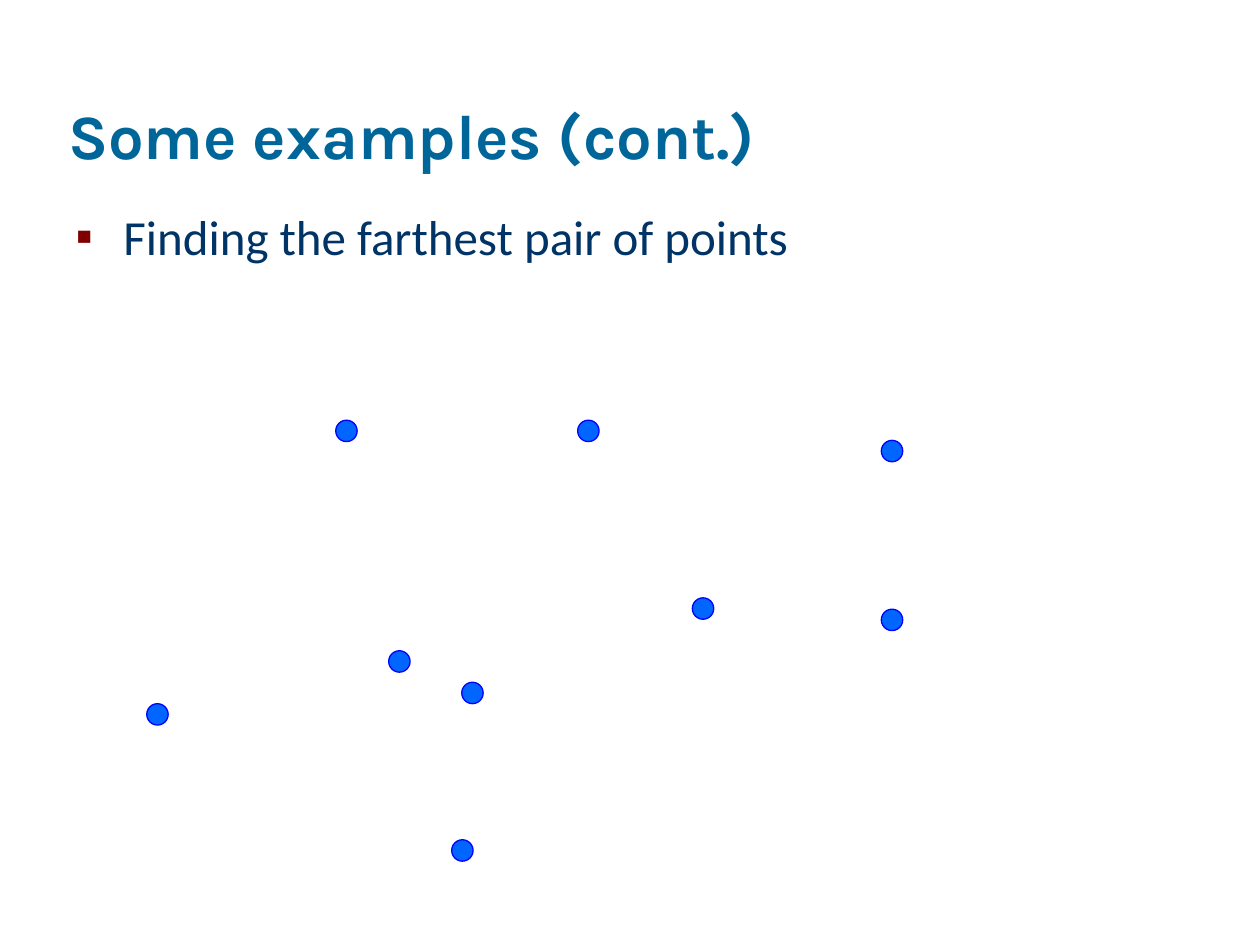
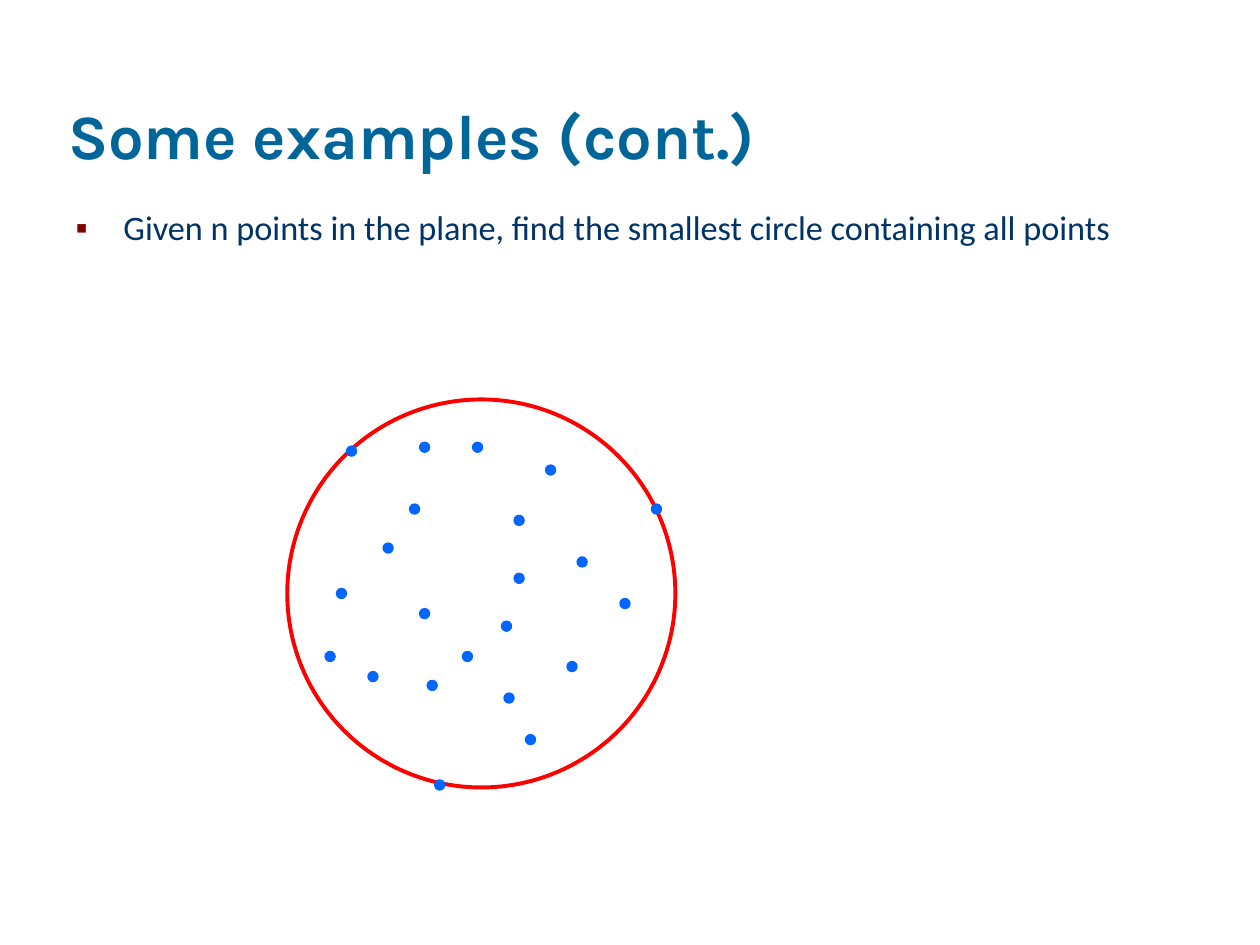
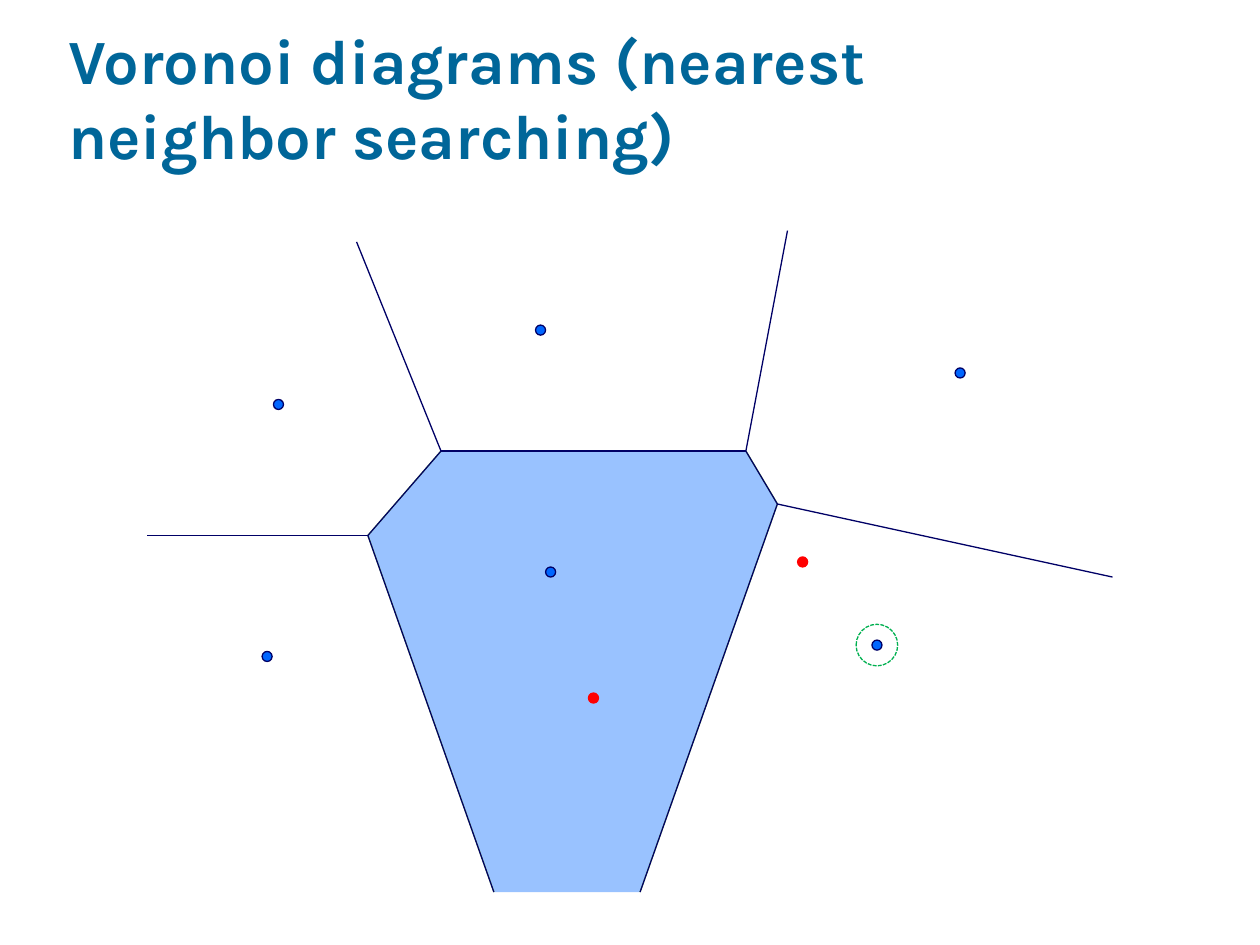
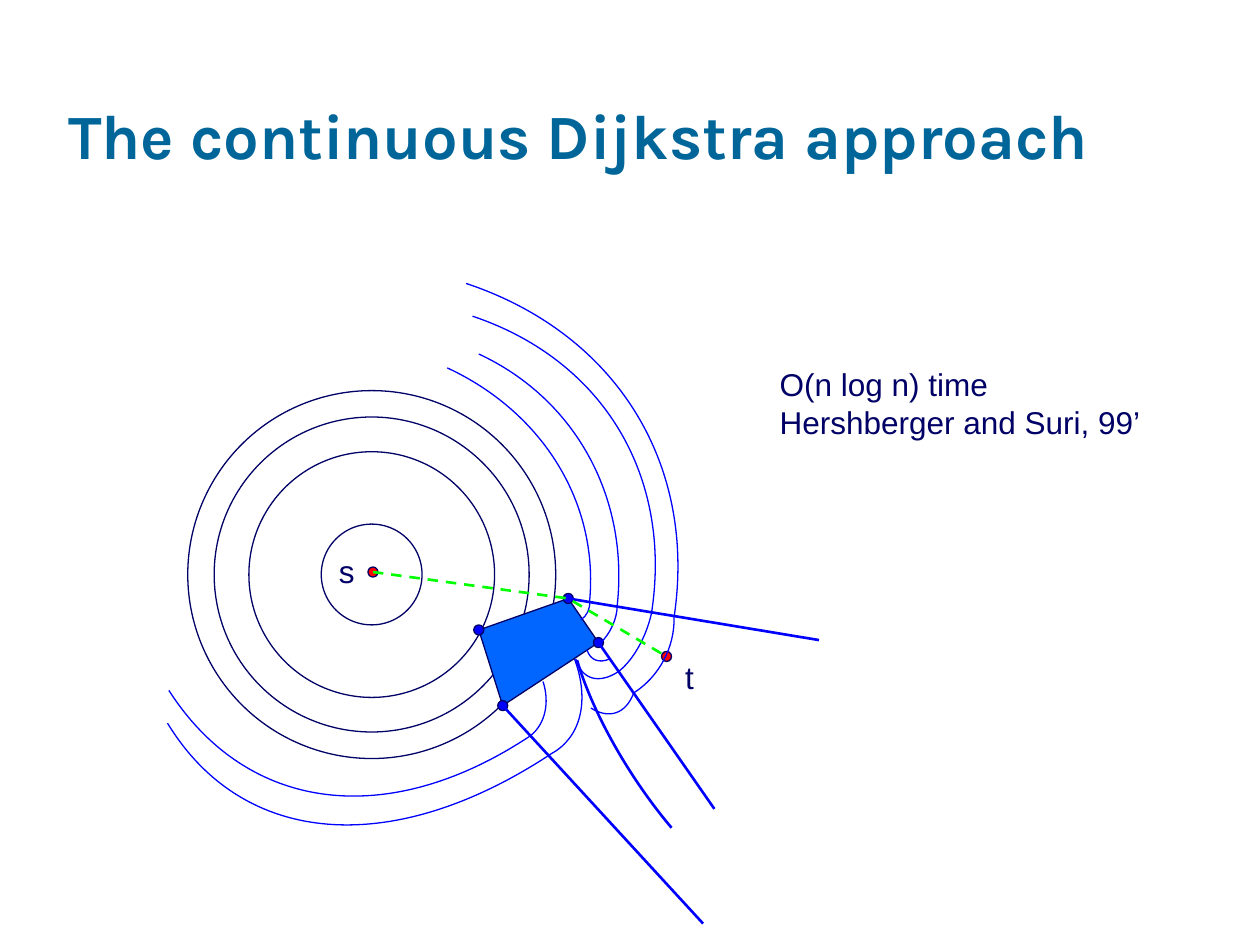
from lxml import etree
from pptx import Presentation
from pptx.dml.color import RGBColor
from pptx.enum.dml import MSO_LINE
from pptx.enum.shapes import MSO_CONNECTOR, MSO_SHAPE
from pptx.enum.text import MSO_ANCHOR, MSO_AUTO_SIZE, PP_ALIGN
from pptx.oxml.ns import qn
from pptx.util import Inches, Pt

OVAL = MSO_SHAPE.OVAL
STRAIGHT = MSO_CONNECTOR.STRAIGHT
DASH = MSO_LINE.DASH
SHORT_DASH = MSO_LINE.SQUARE_DOT
LEFT = PP_ALIGN.LEFT
TOP, BOTTOM = MSO_ANCHOR.TOP, MSO_ANCHOR.BOTTOM
NO_AUTOFIT = MSO_AUTO_SIZE.NONE

TITLE_BLUE, BODY_BLUE, BULLET_RED = "006699", "003366", "800000"
BLUE, PURE_BLUE, NAVY, PALE_BLUE = "0066FF", "0000FF", "000066", "99C2FF"
RED, WHITE, GREEN, LIME, LEAF = "FF0000", "FFFFFF", "00B050", "00FF00", "92D050"

TITLE_LAYOUT, BODY_LAYOUT = 5, 1
BIG_DOT, SMALL_DOT = 0.17, 0.08
INDENT = 0.38
ROUNDNESS = 0.61

FARTHEST_PAIR = {
    "title": "Some examples (cont.)",
    "body": "Finding the farthest pair of points",
    "body_size": 28,
    "points_by_row": {3.42: [2.75, 4.67], 3.58: [7.08], 4.83: [5.58], 4.92: [7.08],
                      5.25: [3.17], 5.5: [3.75], 5.67: [1.25], 6.75: [3.67]},
}

SMALLEST_CIRCLE = {
    "title": "Some examples (cont.)",
    "body": "Given n points in the plane, find the smallest circle containing all points",
    "body_size": 19.6,
    "center": (3.82, 4.71),
    "diameter": 3.08,
    "points_by_row": {3.55: [3.37, 3.79], 3.58: [2.79], 3.73: [4.37], 4.04: [3.29, 5.21],
                      4.13: [4.12], 4.35: [3.08], 4.46: [4.62], 4.59: [4.12],
                      4.71: [2.71], 4.79: [4.96], 4.87: [3.37], 4.97: [4.02],
                      5.21: [2.62, 3.71], 5.29: [4.54], 5.37: [2.96], 5.44: [3.43],
                      5.54: [4.04], 5.87: [4.21], 6.23: [3.49]},
}

CELL = [(3.92, 7.08), (2.92, 4.25), (3.5, 3.58), (5.92, 3.58), (6.17, 4), (5.08, 7.08)]
NEAREST_SITE = (6.96, 5.12)
VORONOI = {
    "title": "Voronoi diagrams (nearest neighbor searching)",
    "sites": [(7.62, 2.96), (2.21, 3.21), (2.12, 5.21), (4.29, 2.62), (4.37, 4.54), NEAREST_SITE],
    "queries": [(6.37, 4.46), (4.71, 5.54)],
    "edge_ends": [(1.17, 4.25), (2.83, 1.92), (6.25, 1.83), (8.83, 4.58)],
}

SOURCE, TARGET = (2.96, 4.54), (5.29, 5.21)
OBSTACLE = [(3.8, 5), (3.99, 5.6), (4.75, 5.1), (4.51, 4.75)]
DIJKSTRA = {
    "title": "The continuous Dijkstra approach",
    "wave_center": (2.95, 4.56),
    "diameters": [2.92, 2.5, 1.95, 0.8],
    "ray_ends": [(5.58, 7.33), (5.67, 6.42), (6.5, 5.08)],
    "waves": [
        [(3.55, 2.92), (4.8, 3.5), (4.68, 4.77), (4.69, 4.87), (4.61, 4.92)],
        [(3.8, 2.81), (5.05, 3.39), (4.9, 4.8), (4.9, 4.98), (4.76, 5.11)],
        [(4.84, 5.23), (4.7, 5.29), (4.66, 5.16)],
        [(3.75, 2.51), (5.45, 3.08), (5.17, 4.87), (5.1, 5.18), (4.91, 5.33), (4.65, 5.5), (4.57, 5.23)],
        [(3.7, 2.25), (5.65, 2.9), (5.35, 4.9), (5.36, 5.29), (5.03, 5.5), (4.93, 5.77), (4.69, 5.62)],
        [(1.34, 5.48), (2.36, 7.07), (4.21, 5.84), (4.4, 5.69), (4.31, 5.41)],
        [(1.33, 5.74), (2.31, 7.35), (4.38, 5.98), (4.76, 5.77), (4.56, 5.23)],
    ],
    "bisector": [(4.58, 5.24), (4.78, 5.92), (5.33, 6.57)],
    "labels": [
        ((2.59, 4.33, 0.32, 0.4), ["s"]),
        ((5.34, 5.17, 0.27, 0.4), ["t"]),
        ((6.09, 2.85, 3.06, 0.7), ["O(n log n) time", "Hershberger and Suri, 99’"]),
    ],
}


def color(hex_value):
    return RGBColor.from_string(hex_value)


def inches(values):
    return [Inches(value) for value in values]


def style_line(line, line_color, width, dash=None):
    line.color.rgb = color(line_color)
    line.width = Pt(width)
    if dash is not None:
        line.dash_style = dash


def style_shape(shape, fill, line_color, width=0.75, dash=None):
    shape.shadow.inherit = False
    if fill:
        shape.fill.solid()
        shape.fill.fore_color.rgb = color(fill)
    else:
        shape.fill.background()
    style_line(shape.line, line_color, width, dash)


def add_text(paragraph, text, font_name, size, text_color, bold=False):
    paragraph.alignment = LEFT
    run = paragraph.add_run()
    run.text = text
    run.font.name = font_name
    run.font.size = Pt(size)
    run.font.bold = bold
    run.font.color.rgb = color(text_color)


def prepare_frame(placeholder, box, anchor):
    placeholder.left, placeholder.top, placeholder.width, placeholder.height = inches(box)
    frame = placeholder.text_frame
    frame.auto_size = NO_AUTOFIT
    frame.word_wrap = True
    frame.vertical_anchor = anchor
    return frame.paragraphs[0]


def add_bullet(paragraph):
    paragraph.space_before = Pt(0)
    properties = paragraph._p.get_or_add_pPr()
    properties.set("marL", str(Inches(INDENT)))
    properties.set("indent", str(-Inches(INDENT)))
    bullet_color = etree.SubElement(properties, qn("a:buClr"))
    etree.SubElement(bullet_color, qn("a:srgbClr"), val=BULLET_RED)
    etree.SubElement(properties, qn("a:buFont"), typeface="Arial")
    etree.SubElement(properties, qn("a:buChar"), char="▪")


def add_slide(presentation, content):
    layout = BODY_LAYOUT if "body" in content else TITLE_LAYOUT
    slide = presentation.slides.add_slide(presentation.slide_layouts[layout])
    paragraph = prepare_frame(slide.shapes.title, (0.44, 0.17, 8.5, 1.25), BOTTOM)
    add_text(paragraph, content["title"], "Karla", 36, TITLE_BLUE, True)
    if "body" in content:
        paragraph = prepare_frame(slide.placeholders[1], (0.5, 1.59, 8.92, 0.66), TOP)
        add_bullet(paragraph)
        add_text(paragraph, content["body"], "Calibri", content["body_size"], BODY_BLUE)
    return slide


def add_circle(slide, center, diameter, fill, line_color, width=0.75, dash=None):
    left, top = [value - diameter / 2 for value in center]
    circle = slide.shapes.add_shape(OVAL, *inches((left, top, diameter, diameter)))
    style_shape(circle, fill, line_color, width, dash)


def add_dots(slide, centers, fill, line_color, size=SMALL_DOT):
    for center in centers:
        add_circle(slide, center, size, fill, line_color)


def centers_from_rows(rows):
    return [(x, y) for y, row in rows.items() for x in row]


def add_lines(slide, segments, line_color, width):
    for start, end in segments:
        connector = slide.shapes.add_connector(STRAIGHT, *inches(start + end))
        style_line(connector.line, line_color, width)
        etree.SubElement(connector._element.spPr, qn("a:effectLst"))


def add_outline(slide, points, fill, line_color, width=0.75, dash=None, closed=False):
    corners = [inches(point) for point in points]
    builder = slide.shapes.build_freeform(*corners[0])
    builder.add_line_segments(corners[1:], close=closed)
    shape = builder.convert_to_shape()
    style_shape(shape, fill, line_color, width, dash)
    return shape


def toward(point, apex):
    return tuple(a + ROUNDNESS * (b - a) for a, b in zip(point, apex))


def add_curve(slide, knots, line_color, width=0.75):
    points = [knots[0]]
    for start, apex, end in zip(knots[::2], knots[1::2], knots[2::2]):
        points += [toward(start, apex), toward(end, apex), end]
    shape = add_outline(slide, points, None, line_color, width)
    outline = shape._element.xpath(".//a:path")[0]
    segments = outline.findall(qn("a:lnTo"))
    for first in range(0, len(segments), 3):
        curve = etree.SubElement(outline, qn("a:cubicBezTo"))
        for segment in segments[first:first + 3]:
            curve.append(segment[0])
            outline.remove(segment)


def add_label(slide, box, lines):
    frame = slide.shapes.add_textbox(*inches(box)).text_frame
    frame.word_wrap = False
    for index, text in enumerate(lines):
        paragraph = frame.add_paragraph() if index else frame.paragraphs[0]
        add_text(paragraph, text, "Arial", 18, NAVY)


def build_farthest_pair(presentation):
    slide = add_slide(presentation, FARTHEST_PAIR)
    add_dots(slide, centers_from_rows(FARTHEST_PAIR["points_by_row"]), BLUE, PURE_BLUE, BIG_DOT)


def build_smallest_circle(presentation):
    slide = add_slide(presentation, SMALLEST_CIRCLE)
    add_circle(slide, SMALLEST_CIRCLE["center"], SMALLEST_CIRCLE["diameter"], WHITE, RED, 2.25)
    add_dots(slide, centers_from_rows(SMALLEST_CIRCLE["points_by_row"]), BLUE, BLUE)


def build_voronoi(presentation):
    slide = add_slide(presentation, VORONOI)
    add_outline(slide, CELL, PALE_BLUE, LEAF)
    add_circle(slide, NEAREST_SITE, 0.33, WHITE, GREEN, dash=SHORT_DASH)
    add_dots(slide, VORONOI["sites"], BLUE, NAVY)
    add_lines(slide, zip(CELL, CELL[1:]), NAVY, 0.75)
    add_lines(slide, zip(CELL[1:-1], VORONOI["edge_ends"]), NAVY, 0.75)
    add_dots(slide, VORONOI["queries"], RED, RED)


def build_dijkstra(presentation):
    slide = add_slide(presentation, DIJKSTRA)
    for diameter in DIJKSTRA["diameters"]:
        add_circle(slide, DIJKSTRA["wave_center"], diameter, None, NAVY)
    add_outline(slide, OBSTACLE, BLUE, NAVY, closed=True)
    add_dots(slide, [SOURCE, TARGET], RED, NAVY)
    add_dots(slide, OBSTACLE, PURE_BLUE, NAVY)
    add_lines(slide, zip(OBSTACLE[1:], DIJKSTRA["ray_ends"]), PURE_BLUE, 1.5)
    for wave in DIJKSTRA["waves"]:
        add_curve(slide, wave, PURE_BLUE)
    add_curve(slide, DIJKSTRA["bisector"], PURE_BLUE, 1.5)
    add_outline(slide, [SOURCE, OBSTACLE[-1], TARGET], None, LIME, 1.5, DASH)
    for box, lines in DIJKSTRA["labels"]:
        add_label(slide, box, lines)


def main():
    presentation = Presentation()
    presentation.slide_width, presentation.slide_height = inches((10, 7.5))
    build_farthest_pair(presentation)
    build_smallest_circle(presentation)
    build_voronoi(presentation)
    build_dijkstra(presentation)
    presentation.save("out.pptx")


if __name__ == "__main__":
    main()
